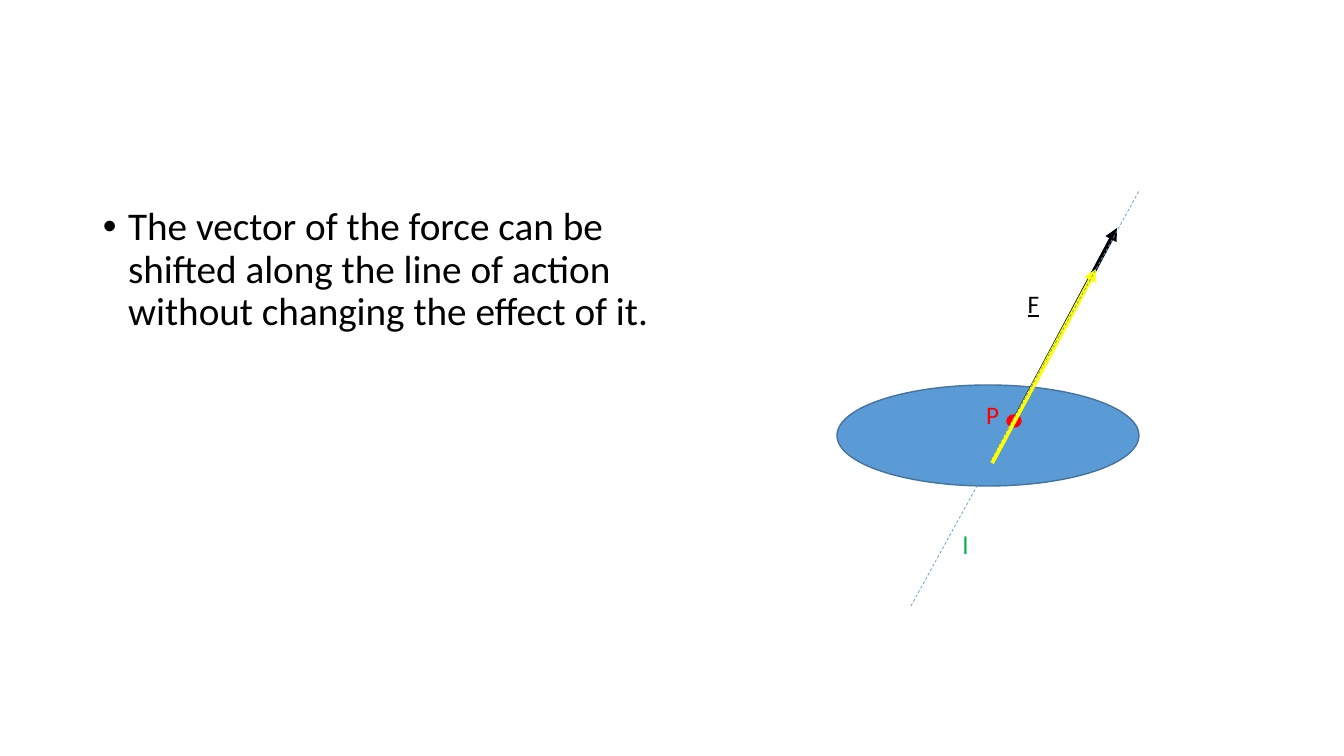
from lxml import etree
from pptx import Presentation
from pptx.dml.color import RGBColor
from pptx.enum.dml import MSO_LINE
from pptx.enum.shapes import MSO_CONNECTOR, MSO_SHAPE
from pptx.enum.text import PP_ALIGN
from pptx.oxml.ns import qn
from pptx.util import Pt

EMU_PER_PX = 914400 / 100.8
FONT = "Calibri"
COLORS = {
    "black": "000000",
    "blue": "5B9BD5",
    "dark_blue": "43739E",
    "red": "FF0000",
    "green": "00B050",
    "yellow": "FFFF00",
}
STRAIGHT = MSO_CONNECTOR.STRAIGHT
OVAL = MSO_SHAPE.OVAL
DASH = MSO_LINE.DASH
CENTER = PP_ALIGN.CENTER


def px(*lengths):
    """Turn pixel lengths into a list of EMU lengths."""
    return [round(length * EMU_PER_PX) for length in lengths]


def color(name):
    return RGBColor.from_string(COLORS[name])


def add_text(slide, box, text, size, color_name):
    """Add a wrapped text box and return its paragraph."""
    frame = slide.shapes.add_textbox(*px(*box)).text_frame
    frame.word_wrap = True
    paragraph = frame.paragraphs[0]
    paragraph.text = text
    paragraph.font.name = FONT
    paragraph.font.size = Pt(size)
    paragraph.font.color.rgb = color(color_name)
    return paragraph


def add_bullet_text(slide, box, text):
    paragraph = add_text(slide, box, text, 28, "black")
    paragraph.line_spacing = 0.9
    paragraph.space_before = Pt(10)
    properties = paragraph._p.get_or_add_pPr()
    properties.set("marL", str(Pt(18)))
    properties.set("indent", str(Pt(-18)))
    bullet_font = etree.Element(qn("a:buFont"), typeface="Arial")
    bullet = etree.Element(qn("a:buChar"), char="•")
    properties.insert_element_before(bullet_font, "a:defRPr")
    properties.insert_element_before(bullet, "a:defRPr")


def add_label(slide, box, text, color_name, underline=False):
    paragraph = add_text(slide, box, text, 18, color_name)
    paragraph.alignment = CENTER
    if underline:
        paragraph.font.underline = True


def add_ellipse(slide, box, fill_name, line_name):
    ellipse = slide.shapes.add_shape(OVAL, *px(*box))
    ellipse.shadow.inherit = False
    ellipse.fill.solid()
    ellipse.fill.fore_color.rgb = color(fill_name)
    ellipse.line.color.rgb = color(line_name)
    ellipse.line.width = Pt(1)


def add_line(slide, start, end, color_name, width):
    connector = slide.shapes.add_connector(STRAIGHT, *px(*start, *end))
    connector.line.color.rgb = color(color_name)
    connector.line.width = Pt(width)
    etree.SubElement(connector._element.spPr, qn("a:effectLst"))
    return connector


def add_force_arrow(slide, start, end, color_name):
    arrow = add_line(slide, start, end, color_name, 3)
    etree.SubElement(arrow.line._get_or_add_ln(), qn("a:tailEnd"), type="triangle")


def main():
    presentation = Presentation()
    presentation.slide_width, presentation.slide_height = px(1344, 756)
    slide = presentation.slides.add_slide(presentation.slide_layouts[6])

    add_bullet_text(
        slide,
        (93, 202, 572, 480),
        "The vector of the force can be shifted along the line of action "
        "without changing the effect of it.",
    )
    add_ellipse(slide, (837, 385, 302, 101), "blue", "dark_blue")
    add_force_arrow(slide, (1014, 421), (1117, 228), "black")
    add_label(slide, (966, 283, 135, 41), "F", "black", underline=True)
    add_ellipse(slide, (1007, 415, 14, 12), "red", "red")
    add_label(slide, (943, 394, 99, 40), "P", "red")
    add_label(slide, (902, 524, 127, 40), "l", "green")
    add_force_arrow(slide, (992, 463), (1096, 269), "yellow")
    line_of_action = add_line(slide, (911, 606), (1139, 191), "blue", 0.5)
    line_of_action.line.dash_style = DASH

    presentation.save("out.pptx")


if __name__ == "__main__":
    main()
